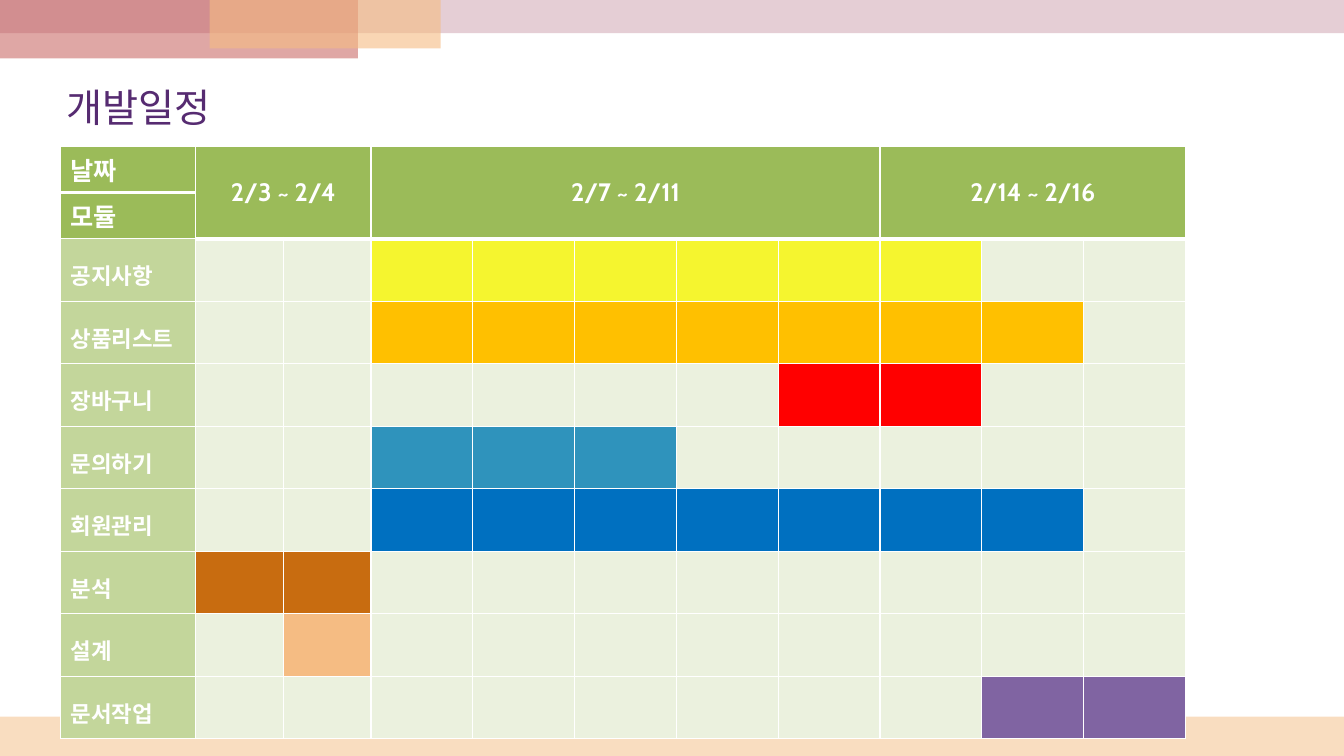
"""Build the development schedule slide."""
from lxml.etree import SubElement as Sub
from pptx import Presentation
from pptx.dml.color import RGBColor as RGB
from pptx.enum.shapes import MSO_SHAPE as Shape
from pptx.enum.text import MSO_ANCHOR as Anchor, PP_ALIGN as Align
from pptx.oxml.ns import qn
from pptx.util import Inches, Pt

FONT = "Cabin"
HEX = {
    "white": "FFFFFF", "title": "562B71", "head": "9BBB59", "label": "C3D69B",
    "empty": "EBF1DE", "peach": "F5BC83", "pink": "CC9EAC", "rose": "C0504D",
    "yellow": "F5F52F", "gold": "FFC000", "red": "FF0000", "teal": "2F93BC",
    "blue": "0070C0", "brown": "C86C10", "purple": "8064A2",
}
BANDS = [
    (0, 7.11, 13.33, 0.39, "peach", 50),
    (0, 0, 13.33, 0.33, "pink", 50),
    (0, 0, 3.55, 0.58, "rose", 50),
    (2.08, 0, 2.29, 0.48, "peach", 60),
]
TITLE = "개발일정"
HEADS = ["날짜", "모듈"]
WEEKS = [("2/3 ~ 2/4", 1, 2), ("2/7 ~ 2/11", 3, 7), ("2/14 ~ 2/16", 8, 10)]
TASKS = [
    ("공지사항", 3, 8, "yellow"),
    ("상품리스트", 3, 9, "gold"),
    ("장바구니", 7, 8, "red"),
    ("문의하기", 3, 5, "teal"),
    ("회원관리", 3, 9, "blue"),
    ("분석", 1, 2, "brown"),
    ("설계", 2, 2, "peach"),
    ("문서작업", 9, 10, "purple"),
]
COLS = [1.34] + [0.87] * 2 + [1.01] * 8
ROWS = [0.46] * 2 + [0.62] * len(TASKS)


def color(name):
    return RGB.from_string(HEX[name])


def write(frame, text, size, tone, bold=False, align=None):
    para = frame.paragraphs[0]
    para.alignment = align
    run = para.add_run()
    run.text = text
    font = run.font
    font.name, font.size, font.bold = FONT, Pt(size), bold
    font.color.rgb = color(tone)


def band(slide, x, y, w, h, tone, alpha):
    box = slide.shapes.add_shape(Shape.RECTANGLE, *map(Inches, (x, y, w, h)))
    box.shadow.inherit = False
    box.line.fill.background()
    box.fill.solid()
    box.fill.fore_color.rgb = color(tone)
    tint = box.fill._xPr.find(".//" + qn("a:srgbClr"))
    Sub(tint, qn("a:alpha"), val=str(alpha * 1000))


def thick(row, col):
    return row == 0 or (row == 1 and col > 0)


def paint(cell, row, col, tone):
    props = cell._tc.get_or_add_tcPr()
    widths = {"L": 1, "R": 1, "T": 3 if thick(row - 1, col) and row else 1,
              "B": 3 if thick(row, col) else 1}
    for side, width in widths.items():
        line = Sub(props, qn("a:ln" + side), w=str(Pt(width)))
        Sub(Sub(line, qn("a:solidFill")), qn("a:srgbClr"), val=HEX["white"])
    cell.fill.solid()
    cell.fill.fore_color.rgb = color(tone)


def tone_at(row, col):
    if row < len(HEADS):
        return "head"
    if col == 0:
        return "label"
    _, first, last, tone = TASKS[row - len(HEADS)]
    return tone if first <= col <= last else "empty"


def schedule(slide):
    size = map(Inches, (0.6, 1.45, sum(COLS), sum(ROWS)))
    table = slide.shapes.add_table(len(ROWS), len(COLS), *size).table
    table.horz_banding = False
    for col, width in enumerate(COLS):
        table.columns[col].width = Inches(width)
    for row, height in enumerate(ROWS):
        table.rows[row].height = Inches(height)
        for col in range(len(COLS)):
            paint(table.cell(row, col), row, col, tone_at(row, col))
    for row, text in enumerate(HEADS):
        write(table.cell(row, 0).text_frame, text, 18, "white", True)
    for text, first, last in WEEKS:
        cell = table.cell(0, first)
        cell.merge(table.cell(1, last))
        cell.vertical_anchor = Anchor.MIDDLE
        write(cell.text_frame, text, 18, "white", True, Align.CENTER)
    for row, task in enumerate(TASKS, len(HEADS)):
        cell = table.cell(row, 0)
        cell.margin_top, cell.margin_bottom = Inches(0.2), Inches(0.1)
        write(cell.text_frame, task[0], 16, "white", True)


def main():
    deck = Presentation()
    deck.slide_width, deck.slide_height = Inches(13.33), Inches(7.5)
    slide = deck.slides.add_slide(deck.slide_layouts[6])
    for item in BANDS:
        band(slide, *item)
    frame = slide.shapes.add_textbox(*map(Inches, (0.37, 0.74, 2.01, 0.64))).text_frame
    frame.word_wrap = True
    frame.vertical_anchor = Anchor.MIDDLE
    write(frame, TITLE, 28, "title", align=Align.CENTER)
    schedule(slide)
    deck.save("out.pptx")


if __name__ == "__main__":
    main()
